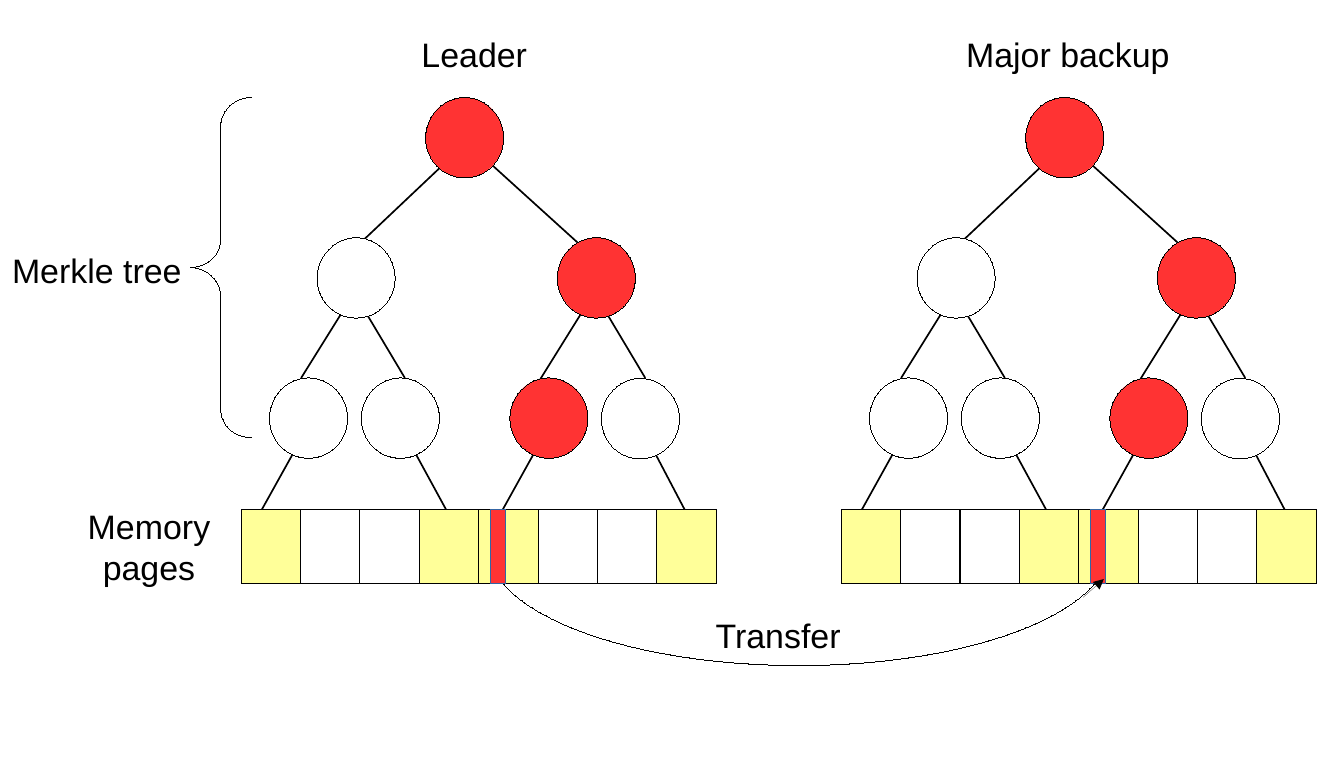
"""Draw a leader and its major backup as Merkle trees over memory pages."""
from dataclasses import dataclass

from lxml import etree
from pptx import Presentation, util as u
from pptx.dml.color import RGBColor
from pptx.enum import shapes, text
from pptx.oxml import ns
from pptx.shapes.base import BaseShape
from pptx.shapes.connector import Connector
from pptx.slide import Slide

COLORS = {
    "black": "000000",
    "white": "FFFFFF",
    "red": "FF3333",
    "yellow": "FFFF99",
    "blue": "3465A4",
}
HAIRLINE = 0.01
NODE_WIDTH, NODE_HEIGHT = 46.1, 47.5
PAGES_LEFT, PAGES_TOP = 142.4, 300.8
PAGE_WIDTH, PAGE_HEIGHT = 35.06, 43.6
BACKUP_OFFSET = 354.2


@dataclass
class Node:
    left: float
    top: float
    color: str = "white"


@dataclass
class Edge:
    start_x: float
    start_y: float
    end_x: float
    end_y: float


@dataclass
class Label:
    words: str
    left: float
    top: float
    width: float
    height: float
    centered: bool = True
    wrap: bool = True


NODES = [
    Node(251.3, 57.6, "red"),
    Node(187.2, 140.4),
    Node(329, 140.4, "red"),
    Node(159.1, 223.2),
    Node(213.3, 223.2),
    Node(301, 223.2, "red"),
    Node(355, 223.5),
]
EDGES = [
    Edge(215.3, 141.1, 268.6, 90.7),
    Edge(283, 90.7, 344.2, 146.2),
    Edge(177.8, 223.2, 201.6, 185),
    Edge(216.7, 185.8, 239, 223.2),
    Edge(319, 223.9, 342.7, 185.8),
    Edge(358.6, 185.8, 380.9, 223.2),
    Edge(153.4, 303.1, 178.6, 257.8),
    Edge(265.7, 305.3, 234.7, 248.4),
    Edge(295.2, 303.8, 320.4, 258.5),
    Edge(406.8, 306, 376.6, 248.4),
]
PAGE_COLORS = ["yellow", "white", "white", "yellow"] * 2
LABELS = [
    Label("Leader", 226, 16.3, 108, 43.2),
    Label("Major backup", 552.7, 16.3, 155.5, 43.2),
    Label("Merkle tree", 0, 144, 116.6, 29.5, centered=False),
    Label("Memory\npages", 34, 295.2, 108, 52.6),
    Label("Transfer", 415.4, 359.3, 92, 29.5, centered=False, wrap=False),
]


def color(name: str) -> RGBColor:
    return RGBColor.from_string(COLORS[name])


def add_shape(slide: Slide, kind: shapes.MSO_SHAPE, left: float, top: float,
              width: float, height: float, fill: str | None = None,
              line: str | None = "black") -> BaseShape:
    shape = slide.shapes.add_shape(
        kind, u.Pt(left), u.Pt(top), u.Pt(width), u.Pt(height))
    shape.shadow.inherit = False
    if fill:
        shape.fill.solid()
        shape.fill.fore_color.rgb = color(fill)
    else:
        shape.fill.background()
    if line:
        shape.line.color.rgb = color(line)
        shape.line.width = u.Pt(HAIRLINE)
    else:
        shape.line.fill.background()
    return shape


def add_line(slide: Slide, edge: Edge, offset: float = 0, width: float = 1) -> Connector:
    connector = slide.shapes.add_connector(
        shapes.MSO_CONNECTOR.STRAIGHT,
        u.Pt(edge.start_x + offset), u.Pt(edge.start_y),
        u.Pt(edge.end_x + offset), u.Pt(edge.end_y))
    connector.line.color.rgb = color("black")
    connector.line.width = u.Pt(width)
    etree.SubElement(connector._element.spPr, ns.qn("a:effectLst"))
    return connector


def add_text(slide: Slide, label: Label, *, size: float = 20,
             font: str = "Arial", ink: str = "black") -> None:
    box = slide.shapes.add_textbox(
        u.Pt(label.left), u.Pt(label.top), u.Pt(label.width), u.Pt(label.height))
    frame = box.text_frame
    frame.text = label.words
    frame.word_wrap = label.wrap
    frame.auto_size = text.MSO_AUTO_SIZE.SHAPE_TO_FIT_TEXT
    for paragraph in frame.paragraphs:
        paragraph.alignment = text.PP_ALIGN.CENTER if label.centered else text.PP_ALIGN.LEFT
        paragraph.font.size = u.Pt(size)
        paragraph.font.name = font
        paragraph.font.color.rgb = color(ink)


def add_tree(slide: Slide, offset: float) -> None:
    for edge in EDGES:
        add_line(slide, edge, offset)
    for node in NODES:
        add_shape(slide, shapes.MSO_SHAPE.OVAL, node.left + offset, node.top,
                  NODE_WIDTH, NODE_HEIGHT, node.color)
    for index, fill in enumerate(PAGE_COLORS):
        add_shape(slide, shapes.MSO_SHAPE.RECTANGLE,
                  PAGES_LEFT + index * PAGE_WIDTH + offset, PAGES_TOP,
                  PAGE_WIDTH, PAGE_HEIGHT, fill)
    add_shape(slide, shapes.MSO_SHAPE.RECTANGLE, 289.4 + offset, PAGES_TOP,
              9.1, PAGE_HEIGHT, "red", "blue")


def add_transfer_curve(slide: Slide) -> None:
    add_shape(slide, shapes.MSO_SHAPE.OVAL, 288, 252.7, 367.2, 140.4, "white")
    add_shape(slide, shapes.MSO_SHAPE.RECTANGLE, 267.8, 221.8, 439.2, 123.1,
              "white", None)


def add_transfer_arrow(slide: Slide) -> None:
    arrow = add_line(slide, Edge(639.4, 352.8, 651.6, 342), width=HAIRLINE)
    etree.SubElement(arrow.line._get_or_add_ln(), ns.qn("a:tailEnd"), type="triangle")


def main() -> None:
    presentation = Presentation()
    presentation.slide_width = u.Pt(793.4)
    presentation.slide_height = u.Pt(453.6)
    slide = presentation.slides.add_slide(presentation.slide_layouts[6])
    add_transfer_curve(slide)
    for offset in (0, BACKUP_OFFSET):
        add_tree(slide, offset)
    add_transfer_arrow(slide)
    brace = add_shape(slide, shapes.MSO_SHAPE.LEFT_BRACE, 112.3, 57.6, 36, 200.9)
    brace.adjustments[0] = 0.47
    for label in LABELS:
        add_text(slide, label)
    presentation.save("out.pptx")


if __name__ == "__main__":
    main()
